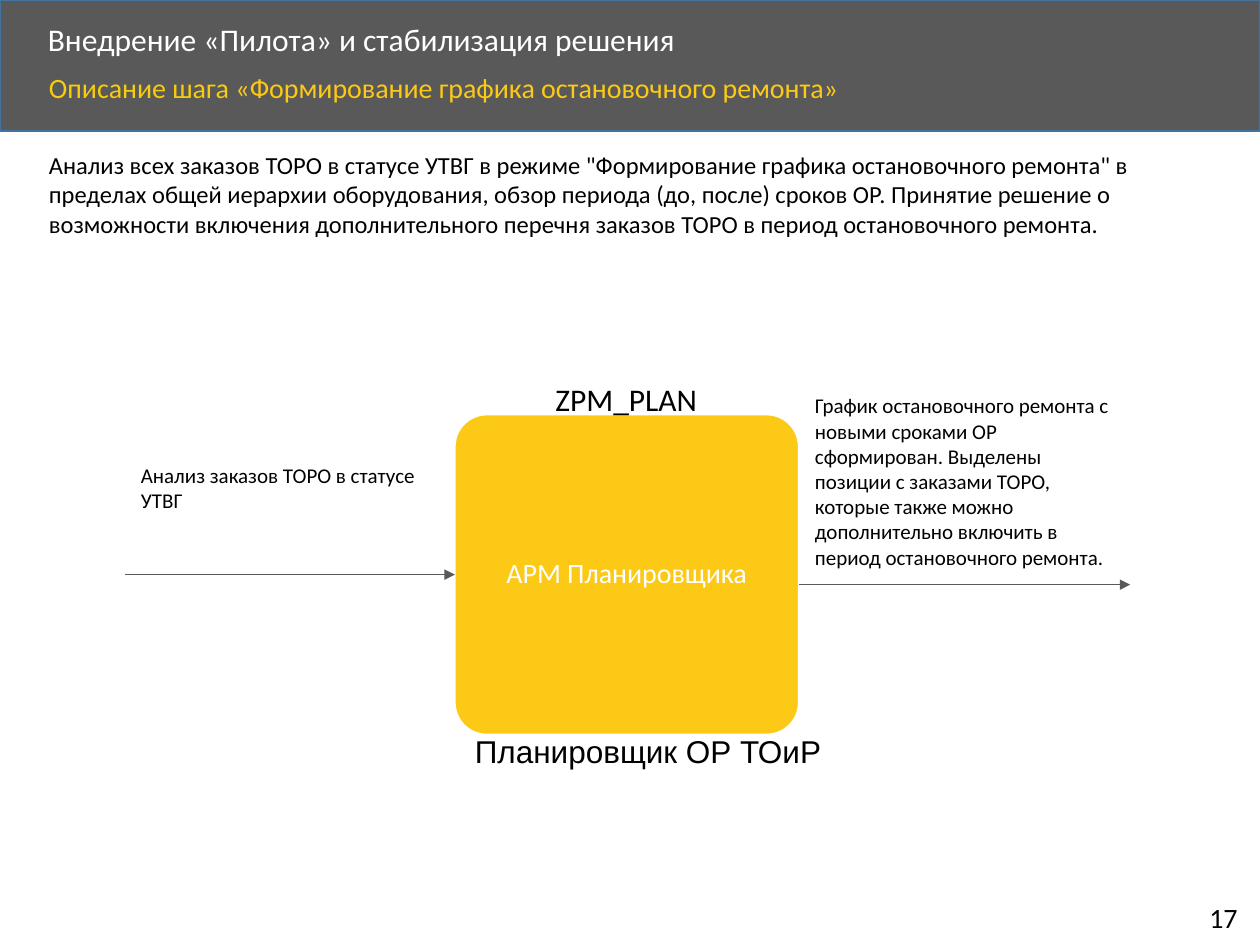
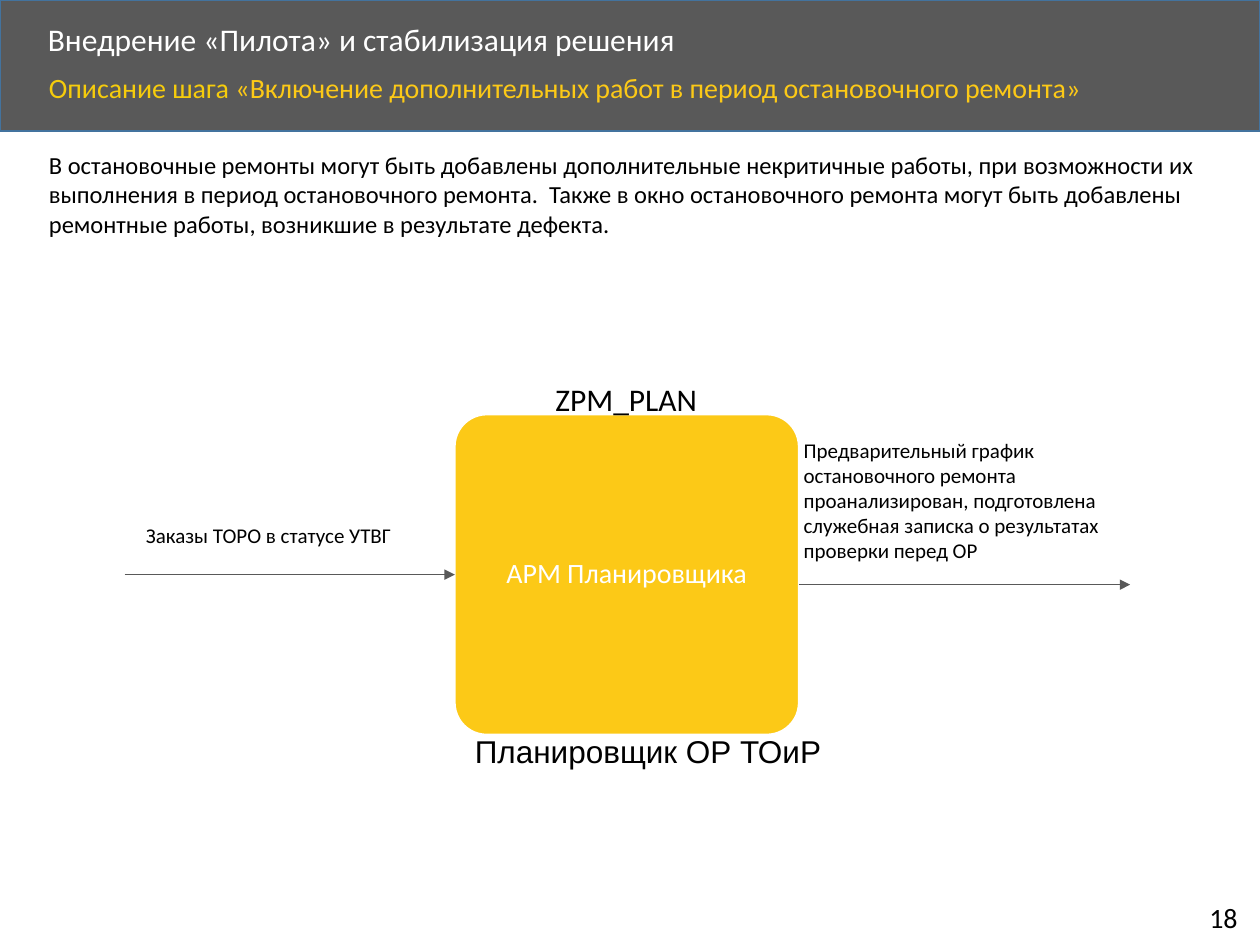
from lxml import etree
from pptx import Presentation
from pptx import util as u
from pptx.dml.color import RGBColor
from pptx.enum import shapes, text
from pptx.oxml.ns import qn

WIDTH, HEIGHT = u.Inches(10), u.Inches(7.5)
GREY, YELLOW, AMBER = "595959", "FCC917", "F6CC0C"
BLUE, WHITE, BLACK = "43739E", "FFFFFF", "000000"
TOP, MIDDLE = text.MSO_ANCHOR.TOP, text.MSO_ANCHOR.MIDDLE
LEFT, CENTER = text.PP_ALIGN.LEFT, text.PP_ALIGN.CENTER

HEADING = "Внедрение «Пилота» и стабилизация решения"
STEPS = [
    {
        "page": "17",
        "step": "«Формирование графика остановочного ремонта»",
        "description": 'Анализ всех заказов ТОРО в статусе УТВГ в режиме "Формирование графика '
                       'остановочного ремонта" в пределах общей иерархии оборудования, обзор периода '
                       "(до, после) сроков ОР. Принятие решение о возможности включения "
                       "дополнительного перечня заказов ТОРО в период остановочного ремонта.",
        "input": ("Анализ заказов ТОРО в статусе УТВГ", (10.2, 48.27, 25.6, 6.67)),
        "result": ("График остановочного ремонта с новыми сроками ОР сформирован. Выделены "
                   "позиции с заказами ТОРО, которые также можно дополнительно включить в "
                   "период остановочного ремонта.", (63.7, 40.93, 25.7, 20.13)),
    },
    {
        "page": "18",
        "step": "«Включение дополнительных работ в период остановочного ремонта»",
        "description": "В остановочные ремонты могут быть добавлены дополнительные некритичные "
                       "работы, при возможности их выполнения в период остановочного ремонта.  "
                       "Также в окно остановочного ремонта могут быть добавлены ремонтные работы, "
                       "возникшие в результате дефекта.",
        "input": ("Заказы ТОРО в статусе УТВГ", (10.6, 54.67, 25.6, 4)),
        "result": ("Предварительный график остановочного ремонта проанализирован, подготовлена "
                   "служебная записка о результатах проверки перед ОР", (62.8, 45.6, 25.7, 14.8)),
    },
]


def rgb(value):
    """Turn a hex string into a colour."""
    return RGBColor.from_string(value)


def across(share):
    """Length as a percentage of the slide's width."""
    return int(WIDTH * share / 100)


def down(share):
    """Length as a percentage of the slide's height."""
    return int(HEIGHT * share / 100)


def area(left, top, width, height):
    """Position and size given in percentages of the slide."""
    return across(left), down(top), across(width), down(height)


def write(shape, runs, size, font="Calibri", align=LEFT, spacing=1.0, anchor=TOP, wrap=True):
    """Fill a shape with one paragraph of (wording, colour) runs."""
    frame = shape.text_frame
    layout = {"word_wrap": wrap, "vertical_anchor": anchor, "auto_size": text.MSO_AUTO_SIZE.NONE}
    for name, value in layout.items():
        setattr(frame, name, value)
    paragraph = frame.paragraphs[0]
    paragraph.alignment, paragraph.line_spacing = align, spacing
    for wording, colour in runs:
        run = paragraph.add_run()
        run.text = wording
        for name, value in {"size": u.Pt(size), "name": font, "bold": False}.items():
            setattr(run.font, name, value)
        run.font.color.rgb = rgb(colour)


def add_label(slide, wording, place, size, **options):
    """Add black text at a place on the slide."""
    label = slide.shapes.add_textbox(*area(*place))
    write(label, [(wording, BLACK)], size, **options)


def add_block(slide, kind, place, fill, outline):
    """Add a filled preset shape with a thin outline."""
    block = slide.shapes.add_shape(kind, *area(*place))
    block.shadow.inherit = False
    block.fill.solid()
    block.fill.fore_color.rgb = rgb(fill)
    block.line.color.rgb = rgb(outline)
    block.line.width = u.Pt(1)
    return block


def add_arrow(slide, start, end, y):
    """Add a thin horizontal arrow between two lengths."""
    arrow = slide.shapes.add_connector(shapes.MSO_CONNECTOR.STRAIGHT, start, y, end, y)
    arrow.line.color.rgb = rgb(GREY)
    arrow.line.width = u.Pt(0.5)
    etree.SubElement(arrow.line._get_or_add_ln(), qn("a:tailEnd"), type="triangle")
    etree.SubElement(arrow.element.spPr, qn("a:effectLst"))
    return arrow


def add_header(slide, step, page):
    """Add the band with heading and step name, and the page number."""
    band = add_block(slide, shapes.MSO_SHAPE.RECTANGLE, (0, 0, 100, 13.87), GREY, BLUE)
    slide.shapes.element.insert(2, band.element)
    heading = slide.shapes.title
    sides = ("left", "top", "width", "height")
    for side, value in zip(sides, area(2.8, 1.87, 80.7, 5.07)):
        setattr(heading, side, value)
    write(heading, [(HEADING, WHITE)], 18, spacing=0.9, anchor=MIDDLE)
    subtitle = slide.shapes.add_textbox(*area(2.9, 7.2, 86.5, 6))
    write(subtitle, [("Описание шага ", AMBER), (step, YELLOW)], 16, spacing=0.9)
    add_label(slide, page, (95, 94.67, 4.6, 4.93), 16, wrap=False)


def add_process(slide, incoming, result):
    """Add the planner's workplace with its input and its result."""
    workplace = add_block(slide, shapes.MSO_SHAPE.ROUNDED_RECTANGLE,
                          (36.1, 43.87, 27.3, 33.87), YELLOW, WHITE)
    workplace.adjustments[0] = 0.1
    write(workplace, [("АРМ Планировщика", WHITE)], 16, align=CENTER, spacing=0.9, anchor=MIDDLE)
    input_arrow = add_arrow(slide, across(9.9), workplace.left,
                            workplace.top + workplace.height // 2)
    input_arrow.end_connect(workplace, 1)
    add_arrow(slide, workplace.left + workplace.width, across(89.7), down(61.87))
    add_label(slide, "ZPM_PLAN", (43.1, 39.6, 13.4, 5.33), 18, wrap=False)
    add_label(slide, "Планировщик ОР ТОиР", (36.7, 76.8, 30.2, 5.33), 18, font="Arial")
    for wording, place in (incoming, result):
        add_label(slide, wording, place, 12)


def main():
    """Build one slide for each step and save the presentation."""
    deck = Presentation()
    deck.slide_width, deck.slide_height = WIDTH, HEIGHT
    for step in STEPS:
        slide = deck.slides.add_slide(deck.slide_layouts[5])
        add_header(slide, step["step"], step["page"])
        add_label(slide, step["description"], (2.9, 15.2, 94.6, 10.8), 14)
        add_process(slide, step["input"], step["result"])
    deck.save("out.pptx")


if __name__ == "__main__":
    main()
